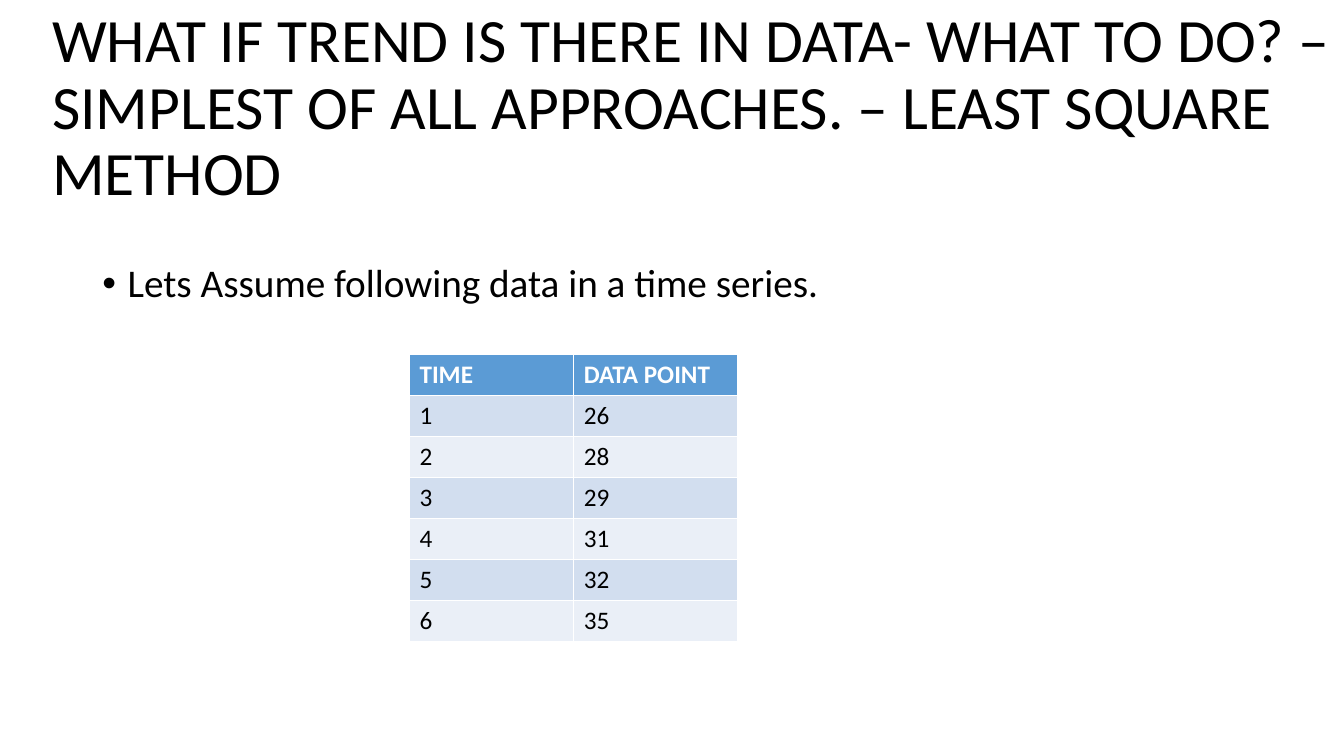
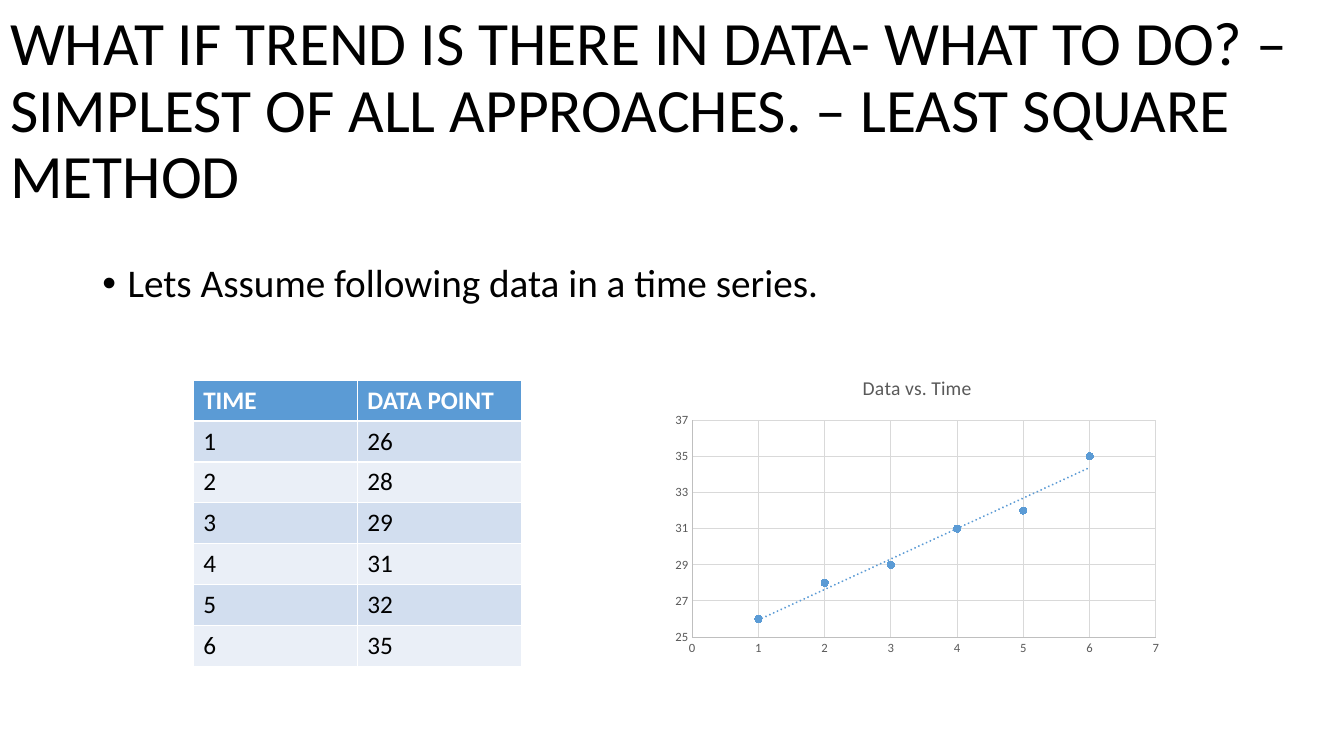
from pptx import Presentation
from pptx.chart.data import XyChartData
from pptx.dml.color import RGBColor
from pptx.enum.chart import XL_CHART_TYPE as Kind, XL_MARKER_STYLE as Mark, XL_TICK_MARK as Tick
from pptx.enum.text import MSO_ANCHOR as Anchor, MSO_AUTO_SIZE as Fit, PP_ALIGN as Align
from pptx.oxml import parse_xml
from pptx.oxml.ns import nsdecls, qn
from pptx.util import Inches, Pt

FONT = "Calibri"
BLACK, WHITE, GREY = "000000", "FFFFFF", "595959"
BLUE, BANDS = "5B9BD5", ("EAEFF7", "D2DEEF")
UNIT = Inches(1) / 12  # the slide is a grid of 160 by 90 units
HEAD = ("WHAT IF TREND IS THERE IN DATA- WHAT TO DO? – "
        "SIMPLEST OF ALL APPROACHES. – LEAST SQUARE METHOD")
POINTS = [(1, 26), (2, 28), (3, 29), (4, 31), (5, 32), (6, 35)]
ROWS = [("TIME", "DATA POINT")] + POINTS


def grid(*units):
    """Turn grid units into lengths."""
    return [round(u * UNIT) for u in units]


def style(font, size, tint, bold=False):
    """Set face, size, colour and weight of a font."""
    font.name, font.size, font.bold = FONT, Pt(size), bold
    font.fill.solid()
    font.fill.fore_color.rgb = RGBColor.from_string(tint)


deck = Presentation()
deck.slide_width, deck.slide_height = grid(160, 90)

# Title box and table corner of each slide
plans = [((5, 0, 155, 26), (48.75, 42.25)),
         ((0, 0, 160, 26.75), (23, 45.25))]

for area, corner in plans:
    slide = deck.slides.add_slide(deck.slide_layouts[1])
    title, body = slide.placeholders
    texts = [(title, HEAD, 44, area),
             (body, "Lets Assume following data in a time series.", 28, (11, 24, 138, 57))]
    for shape, words, size, place in texts:
        shape.left, shape.top, shape.width, shape.height = grid(*place)
        frame = shape.text_frame
        frame.text = words
        frame.auto_size = Fit.NONE
        para = frame.paragraphs[0]
        para.alignment, para.line_spacing = Align.LEFT, 0.9
        style(para.runs[0].font, size, BLACK)
    title.text_frame.vertical_anchor = Anchor.MIDDLE
    body.text_frame.margin_top = Inches(0.62)
    para.space_before = Pt(10)
    props = para._p.get_or_add_pPr()
    props.set("marL", str(Inches(0.25)))
    props.set("indent", str(-Inches(0.25)))

    table = slide.shapes.add_table(len(ROWS), 2, *grid(*corner, 39.1, 34.1)).table
    for r, row in enumerate(ROWS):
        for c, value in enumerate(row):
            cell = table.cell(r, c)
            cell.text = str(value)
            cell.fill.solid()
            cell.fill.fore_color.rgb = RGBColor.from_string(BANDS[r % 2] if r else BLUE)
            style(cell.text_frame.paragraphs[0].runs[0].font, 18,
                  BLACK if r else WHITE, r == 0)

# Scatter chart on the last slide
data = XyChartData()
series = data.add_series("Series 1")
for x, y in POINTS:
    series.add_data_point(x, y)
chart = slide.shapes.add_chart(Kind.XY_SCATTER, *grid(79.2, 42.8, 60, 36), data).chart
style(chart.font, 10, BLACK)
chart.has_legend = False
chart.has_title = True
chart.chart_title.include_in_layout = False
chart.chart_title.text_frame.text = "Data vs. Time"
style(chart.chart_title.text_frame.paragraphs[0].runs[0].font, 14, GREY)

axes = [(chart.category_axis, 0, 7, 1), (chart.value_axis, 25, 37, 2)]
for axis, low, high, step in axes:
    axis.minimum_scale, axis.maximum_scale, axis.major_unit = low, high, step
    axis.major_tick_mark = axis.minor_tick_mark = Tick.NONE
    axis.has_major_gridlines = True
    style(axis.tick_labels.font, 9, GREY)
    for line, tint in ((axis.format.line, "BFBFBF"),
                       (axis.major_gridlines.format.line, "D9D9D9")):
        line.width = Pt(0.75)
        line.color.rgb = RGBColor.from_string(tint)

chart.plots[0].vary_by_categories = False
dots = chart.plots[0].series[0]
dots.format.line.fill.background()
dots.marker.style, dots.marker.size = Mark.CIRCLE, 5
for fill in (dots.marker.format.fill, dots.marker.format.line.fill):
    fill.solid()
    fill.fore_color.rgb = RGBColor.from_string(BLUE)

trend = parse_xml(
    f'<c:trendline {nsdecls("c", "a")}><c:spPr><a:ln w="{Pt(1.5)}" cap="rnd">'
    f'<a:solidFill><a:srgbClr val="{BLUE}"/></a:solidFill><a:prstDash val="sysDot"/>'
    '</a:ln></c:spPr><c:trendlineType val="linear"/><c:dispRSqr val="0"/>'
    '<c:dispEq val="0"/></c:trendline>')
dots._element.find(qn("c:xVal")).addprevious(trend)

deck.save("out.pptx")
